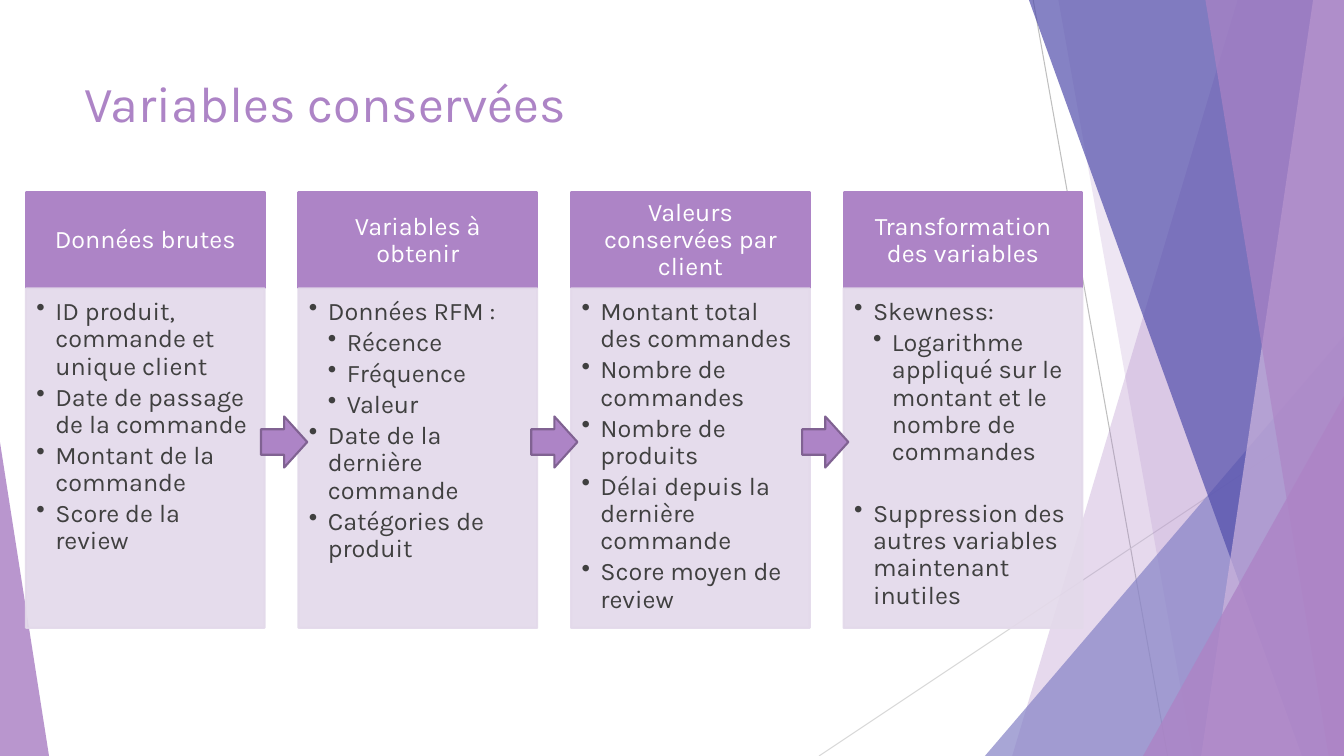
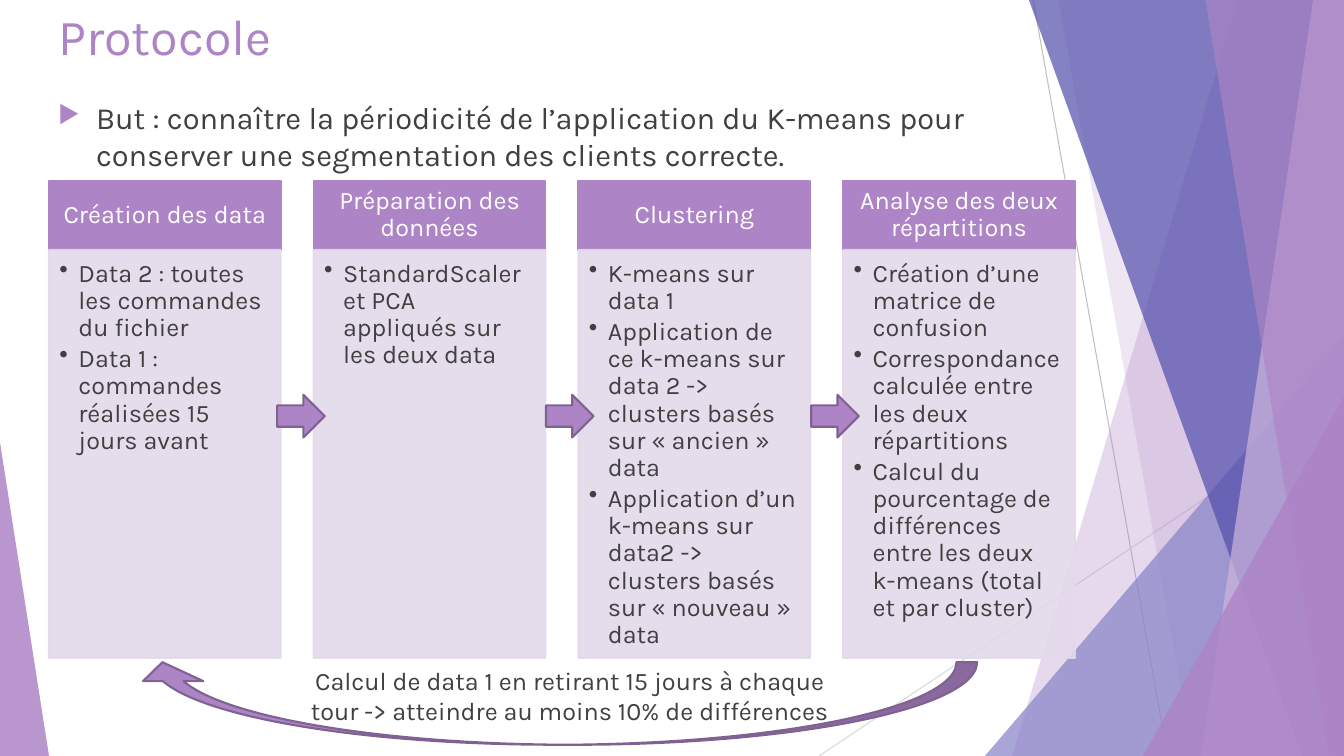
from lxml import etree
from pptx import Presentation
from pptx.dml.color import RGBColor
from pptx.enum import shapes, text
from pptx.oxml import ns
from pptx.util import Pt

PURPLE, PALE, DARK, EDGE = "AD84C6", "E3D9EA", "404040", "806292"
FONT = "Karla"
W, H = 960, 540
SHAPE, ALIGN, ANCHOR = shapes.MSO_SHAPE, text.PP_ALIGN, text.MSO_ANCHOR
rgb = RGBColor.from_string

# Background shards: colour, opacity, geometry.
# Two numbers: x at the top and at the bottom of a band reaching the right edge.
# Five numbers: left, top, width, height and apex of a triangle.
SHARDS = [
    (PURPLE, 30, (884, 723)),
    (PURPLE, 20, (756, 852)),
    ("8784C7", 72, (703.5, 240, 256.5, 300, 1)),
    ("524EAB", 70, (735, 929.5)),
    ("CEB5DD", 70, (938, 858)),
    (PURPLE, 65, (861, 949)),
    (PURPLE, 80, (816.5, 283, 143.5, 257, 1)),
    (PURPLE, 85, (0, 316, 35, 224, 0)),
]
RAYS = [("BFBFBF", (738, 0, 834, H)), ("D9D9D9", (W, 290, 585, H))]

# Bullets: level, text and, where needed, the space before.
SLIDES = [
    dict(
        title="Variables conservées", title_at=(53, 48),
        left=18.5, step=194.7, width=170.5, top=137.5, head=68.5, body=242.5,
        arrow_lefts=(186.5, 379.5, 573), arrow_box=(297.5, 33, 36.5),
        columns=[
            ("Données brutes", [
                (1, "ID produit, commande et unique client"),
                (1, "Date de passage de la commande"),
                (1, "Montant de la commande"),
                (1, "Score de la review")]),
            ("Variables à obtenir", [
                (1, "Données RFM :"),
                (2, "Récence"),
                (2, "Fréquence"),
                (2, "Valeur"),
                (1, "Date de la dernière commande"),
                (1, "Catégories de produit")]),
            ("Valeurs conservées par client", [
                (1, "Montant total des commandes"),
                (1, "Nombre de commandes"),
                (1, "Nombre de produits"),
                (1, "Délai depuis la dernière commande"),
                (1, "Score moyen de review")]),
            ("Transformation des variables", [
                (1, "Skewness:"),
                (2, "Logarithme appliqué sur le montant et le nombre de commandes"),
                (1, "Suppression des autres variables maintenant inutiles", 22)]),
        ]),
    dict(
        title="Protocole", title_at=(34.5, 0),
        left=35, step=189.1, width=165.5, top=129, head=49.5, body=291.5,
        arrow_lefts=(198, 390, 579.5), arrow_box=(282, 34, 30.5),
        columns=[
            ("Création des data", [
                (1, "Data 2 : toutes les commandes du fichier"),
                (1, "Data 1 : commandes réalisées 15 jours avant")]),
            ("Préparation des données", [
                (1, "StandardScaler et PCA appliqués sur les deux data")]),
            ("Clustering", [
                (1, "K-means sur data 1"),
                (1, "Application de ce k-means sur data 2 -> clusters basés sur « ancien » data"),
                (1, "Application d’un k-means sur data2 -> clusters basés sur « nouveau » data")]),
            ("Analyse des deux répartitions", [
                (1, "Création d’une matrice de confusion"),
                (1, "Correspondance calculée entre les deux répartitions"),
                (1, "Calcul du pourcentage de différences entre les deux k-means (total et par cluster)")]),
        ]),
]


def paint(s, fill, line=None, opacity=100):
    s.shadow.inherit = False
    s.fill.solid()
    s.fill.fore_color.rgb = rgb(fill)
    if line:
        s.line.color.rgb = rgb(line)
        s.line.width = Pt(1.5)
    else:
        s.line.fill.background()
    if opacity < 100:
        for colour in list(s.element.spPr.iter(ns.qn("a:srgbClr"))):
            etree.SubElement(colour, ns.qn("a:alpha"), val=str(opacity * 1000))


def write(s, items, size, colour, align=ALIGN.LEFT, spacing=None, after=0,
          bullet=None, indent=0, insets=(7.2, 3.6, 7.2, 3.6), anchor=ANCHOR.TOP):
    """Fill a shape with (level, text[, space before]) items; return its text frame."""
    tf = s.text_frame
    tf.word_wrap = True
    tf.vertical_anchor = anchor
    tf.margin_left, tf.margin_top, tf.margin_right, tf.margin_bottom = map(Pt, insets)
    for i, (level, line, *before) in enumerate(items):
        p = tf.add_paragraph() if i else tf.paragraphs[0]
        p.text = line
        p.alignment = align
        p.line_spacing = spacing
        p.space_after = Pt(after)
        if before:
            p.space_before = Pt(before[0])
        r = p.runs[0]
        r.font.name, r.font.size = FONT, Pt(size)
        r.font.color.rgb = rgb(colour)
        if bullet:
            char, bullet_colour, percent = bullet
            pPr = p._p.get_or_add_pPr()
            pPr.set("marL", str(Pt(indent * level)))
            pPr.set("indent", str(-Pt(indent)))
            clr = etree.SubElement(pPr, ns.qn("a:buClr"))
            etree.SubElement(clr, ns.qn("a:srgbClr"), val=bullet_colour)
            etree.SubElement(pPr, ns.qn("a:buSzPct"), val=str(percent * 1000))
            etree.SubElement(pPr, ns.qn("a:buChar"), char=char)
    return tf


prs = Presentation()
prs.slide_width, prs.slide_height = Pt(W), Pt(H)

for board in SLIDES:
    sp = prs.slides.add_slide(prs.slide_layouts[6]).shapes

    for colour, ends in RAYS:
        ray = sp.add_connector(shapes.MSO_CONNECTOR.STRAIGHT, *map(Pt, ends))
        ray.line.color.rgb = rgb(colour)
        ray.line.width = Pt(0.75)
        etree.SubElement(ray.element.spPr, ns.qn("a:effectLst"))
    for colour, opacity, geometry in SHARDS:
        if len(geometry) == 2:
            top_x, bottom_x = geometry
            outline = sp.build_freeform(top_x, 0, scale=Pt(1))
            outline.add_line_segments([(W, 0), (W, H), (bottom_x, H)], close=True)
            s = outline.convert_to_shape()
        else:
            s = sp.add_shape(SHAPE.ISOSCELES_TRIANGLE, *map(Pt, geometry[:4]))
            s.adjustments[0] = geometry[4]
        paint(s, colour, opacity=opacity)

    title = sp.add_textbox(*map(Pt, board["title_at"]), Pt(677), Pt(104))
    write(title, [(1, board["title"])], 36, PURPLE)

    top, head, width = board["top"], board["head"], board["width"]
    for i, (heading, items) in enumerate(board["columns"]):
        x = board["left"] + i * board["step"]
        s = sp.add_shape(SHAPE.RECTANGLE, Pt(x), Pt(top), Pt(width), Pt(head))
        paint(s, PURPLE, PURPLE)
        write(s, [(1, heading)], 18, "FFFFFF", ALIGN.CENTER, 0.9,
              insets=(10, 5.75, 10, 5.75), anchor=ANCHOR.MIDDLE)
        s = sp.add_shape(SHAPE.RECTANGLE, Pt(x), Pt(top + head), Pt(width), Pt(board["body"]))
        paint(s, PALE, PALE, 90)
        write(s, items, 18, DARK, spacing=0.9, after=2.7, bullet=("•", DARK, 100),
              indent=13.5, insets=(7.5, 7.5, 10, 11.25))

    for x in board["arrow_lefts"]:
        s = sp.add_shape(SHAPE.RIGHT_ARROW, Pt(x), *map(Pt, board["arrow_box"]))
        paint(s, PURPLE, EDGE)

# The protocol slide also has its goal and the loop back to the first step.
goal = sp.add_textbox(Pt(34.5), Pt(67), Pt(677), Pt(74))
write(goal, [(1, "But : connaître la périodicité de l’application du K-means pour "
                 "conserver une segmentation des clients correcte.")],
      22, DARK, bullet=("▶", PURPLE, 80), indent=27)

loop = sp.add_shape(SHAPE.CURVED_UP_ARROW, Pt(94.5), Pt(473), Pt(603.5), Pt(59))
loop.element.spPr.xfrm.set("flipH", "1")
for i, value in enumerate((0.25, 0.73, 0.23)):
    loop.adjustments[i] = value
paint(loop, PURPLE, EDGE)

caption = sp.add_textbox(Pt(200), Pt(471.5), Pt(414), Pt(51))
write(caption, [(1, "Calcul de data 1 en retirant 15 jours à chaque tour -> "
                    "atteindre au moins 10% de différences")], 18, DARK, ALIGN.CENTER)

prs.save("out.pptx")
